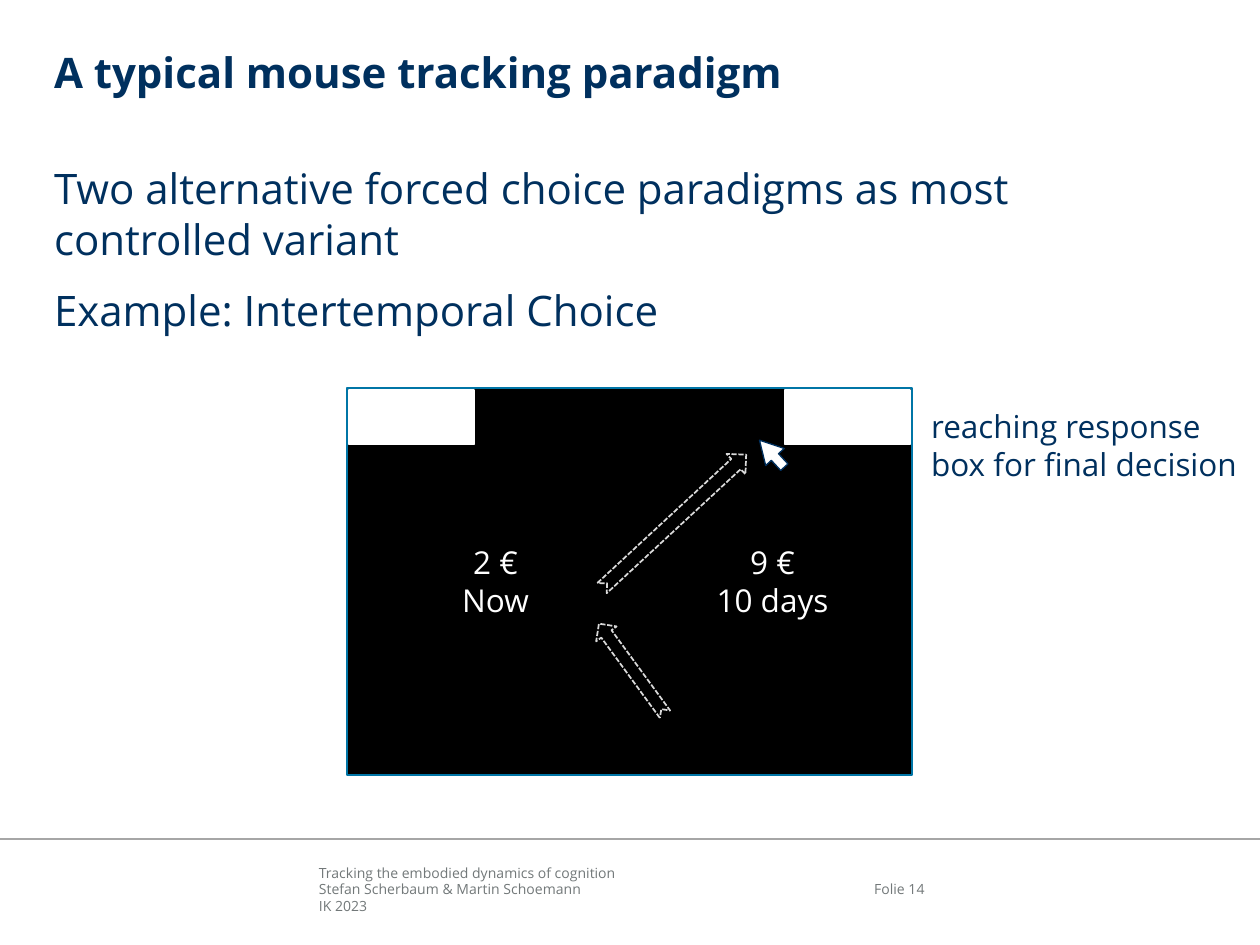
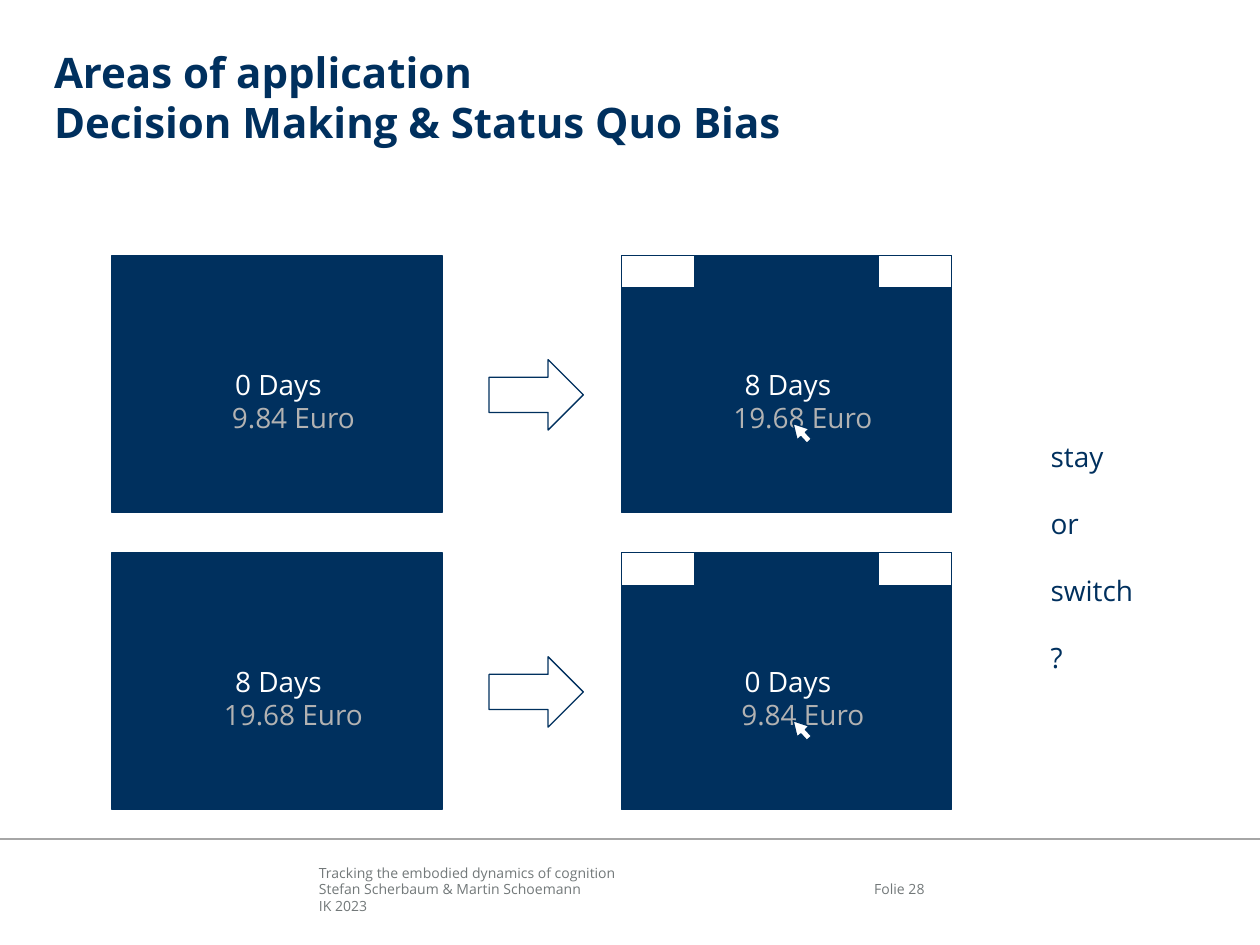
from pptx import Presentation
from pptx.dml.color import RGBColor
from pptx.enum.dml import MSO_LINE
from pptx.enum.shapes import MSO_CONNECTOR, MSO_SHAPE
from pptx.enum.text import PP_ALIGN
from pptx.oxml.ns import qn
from pptx.util import Cm, Pt

COLORS = {
    "navy": "00305E", "blue": "0075A6", "white": "FFFFFF", "black": "000000",
    "footer": "727879", "rule": "A6A6A6", "amount": "B2B2B2", "dash": "D9D9D9",
}
FONT = "Open Sans"
SLIDE_W, SLIDE_H = 25.4, 19.05
CURSOR_ANGLE = 227.4
PANEL_W, PANEL_H = 6.65, 5.18


def rgb(name):
    """Return the named colour."""
    return RGBColor.from_string(COLORS[name])


def add_text(slide, box, text, size, color, align=PP_ALIGN.LEFT,
             bold=False, inset=True, wrap=False, gap=0):
    """Write one paragraph per line of text, with gap points between them."""
    frame = slide.shapes.add_textbox(*map(Cm, box)).text_frame
    frame.word_wrap = wrap
    if not inset:
        frame.margin_left = frame.margin_right = 0
        frame.margin_top = frame.margin_bottom = 0
    frame.text = text
    for index, paragraph in enumerate(frame.paragraphs):
        paragraph.alignment = align
        if index and gap:
            paragraph.space_before = Pt(gap)
        font = paragraph.font
        font.name, font.size, font.bold = FONT, Pt(size), bold
        font.color.rgb = rgb(color)


def add_figure(slide, kind, box, fill, line, width=0.75, angle=0):
    """Draw a flat preset shape."""
    figure = slide.shapes.add_shape(kind, *map(Cm, box))
    figure.shadow.inherit = False
    figure.fill.solid()
    figure.fill.fore_color.rgb = rgb(fill)
    figure.line.color.rgb = rgb(line)
    figure.line.width = Pt(width)
    figure.rotation = angle
    return figure


def add_cursor(slide, box):
    """Draw the mouse pointer."""
    cursor = add_figure(slide, MSO_SHAPE.RIGHT_ARROW, box, "white", "navy",
                        angle=CURSOR_ANGLE)
    cursor.adjustments[0], cursor.adjustments[1] = 0.385, 0.904


def add_path_arrow(slide, box, angle):
    """Draw a dashed arrow along the path of the mouse."""
    arrow = add_figure(slide, MSO_SHAPE.NOTCHED_RIGHT_ARROW, box, "black", "dash",
                       1, angle)
    arrow.line.dash_style = MSO_LINE.SQUARE_DOT


def add_response_boxes(slide, box, size, line, width):
    """Place a white box in each upper corner of the given box."""
    left, top, full_width = box
    box_width, box_height = size
    for x in (left, left + full_width - box_width):
        add_figure(slide, MSO_SHAPE.RECTANGLE, (x, top, box_width, box_height),
                   "white", line, width)


def add_footer(slide, number):
    """Draw the footer rule, talk details and slide number."""
    rule_y = Cm(16.92)
    rule = slide.shapes.add_connector(MSO_CONNECTOR.STRAIGHT, 0, rule_y,
                                      Cm(SLIDE_W), rule_y)
    rule.line.color.rgb = rgb("rule")
    rule.line.width = Pt(1)
    properties = rule._element.spPr
    properties.append(properties.makeelement(qn("a:effectLst"), {}))
    add_text(slide, (6.43, 17.42, 11.48, 1.02),
             "Tracking the embodied dynamics of cognition\n"
             "Stefan Scherbaum & Martin Schoemann\nIK 2023",
             8, "footer", inset=False, wrap=True)
    add_text(slide, (16.71, 17.76, 1.93, 0.34), f"Folie {number}", 8, "footer",
             PP_ALIGN.RIGHT, inset=False, wrap=True)


def start_slide(deck, title, number):
    """Add a blank slide with its title and footer."""
    slide = deck.slides.add_slide(deck.slide_layouts[6])
    add_footer(slide, number)
    add_text(slide, (1.09, 0.94, 23.24, 2.26), title, 24, "navy",
             bold=True, inset=False, wrap=True)
    return slide


def add_choice_screen(slide, left, top, width, height):
    """Draw the trial screen with its two options and the mouse path."""
    add_figure(slide, MSO_SHAPE.RECTANGLE, (left, top, width, height),
               "black", "blue", 1)
    add_cursor(slide, (left + 8.2, top + 1.07, 0.74, 0.51))
    add_path_arrow(slide, (left + 4.62, top + 5.41, 2.26, 0.51), 233.9)
    add_response_boxes(slide, (left + 0.05, top + 0.05, width - 0.1),
                       (2.51, 1.09), "white", 1)
    for x, option_width, option in ((2.06, 1.88, "2 €\nNow"),
                                    (7.19, 2.79, "9 €\n10 days")):
        add_text(slide, (left + x, top + 3, option_width, 1.8), option,
                 18, "white", PP_ALIGN.CENTER)
    add_path_arrow(slide, (left + 4.62, top + 2.41, 3.96, 0.56), 317.2)
    add_text(slide, (left + width + 0.13, top + 0.26, 6.73, 1.8),
             "reaching response\vbox for final decision", 18, "navy")


def add_offer_panel(slide, left, top, delay, amount, is_choice):
    """Draw an offer, with response boxes and pointer if it is a choice."""
    add_figure(slide, MSO_SHAPE.RECTANGLE, (left, top, PANEL_W, PANEL_H),
               "navy", "navy")
    if is_choice:
        add_response_boxes(slide, (left, top, PANEL_W), (1.47, 0.66), "navy", 0.75)
    add_text(slide, (left + 2.21, top + 2.13, 2.29, 0.94), delay, 16, "white",
             PP_ALIGN.CENTER)
    add_text(slide, (left + 1.98, top + 2.79, 3.35, 0.94), amount, 16, "amount",
             PP_ALIGN.CENTER)
    if is_choice:
        add_cursor(slide, (left + 3.38, top + 3.4, 0.48, 0.33))


def build_paradigm(deck):
    """Build the slide on the mouse tracking paradigm."""
    slide = start_slide(deck, "A typical mouse tracking paradigm", 14)
    add_text(slide, (1.09, 3.28, 23.24, 11.81),
             "Two alternative forced choice paradigms as most controlled variant\n"
             "Example: Intertemporal Choice",
             24, "navy", inset=False, wrap=True, gap=12)
    add_choice_screen(slide, 6.99, 7.82, 11.4, 7.8)


def build_status_quo(deck):
    """Build the slide on decision making and the status quo bias."""
    slide = start_slide(
        deck, "Areas of application\vDecision Making & Status Quo Bias", 28)
    sooner, later = ("0 Days", "9.84 Euro"), ("8 Days", "19.68 Euro")
    for top, default, alternative in ((5.15, sooner, later),
                                      (11.14, later, sooner)):
        add_offer_panel(slide, 2.26, top, *default, False)
        add_offer_panel(slide, 12.53, top, *alternative, True)
        add_figure(slide, MSO_SHAPE.RIGHT_ARROW, (9.86, top + 2.1, 1.9, 1.42),
                   "white", "navy")
    add_text(slide, (20.93, 8.74, 2.18, 5.21), "stay\nor\nswitch\n?", 16, "navy",
             gap=19)


def main():
    """Build and save the deck."""
    deck = Presentation()
    deck.slide_width, deck.slide_height = Cm(SLIDE_W), Cm(SLIDE_H)
    build_paradigm(deck)
    build_status_quo(deck)
    deck.save("out.pptx")


if __name__ == "__main__":
    main()
